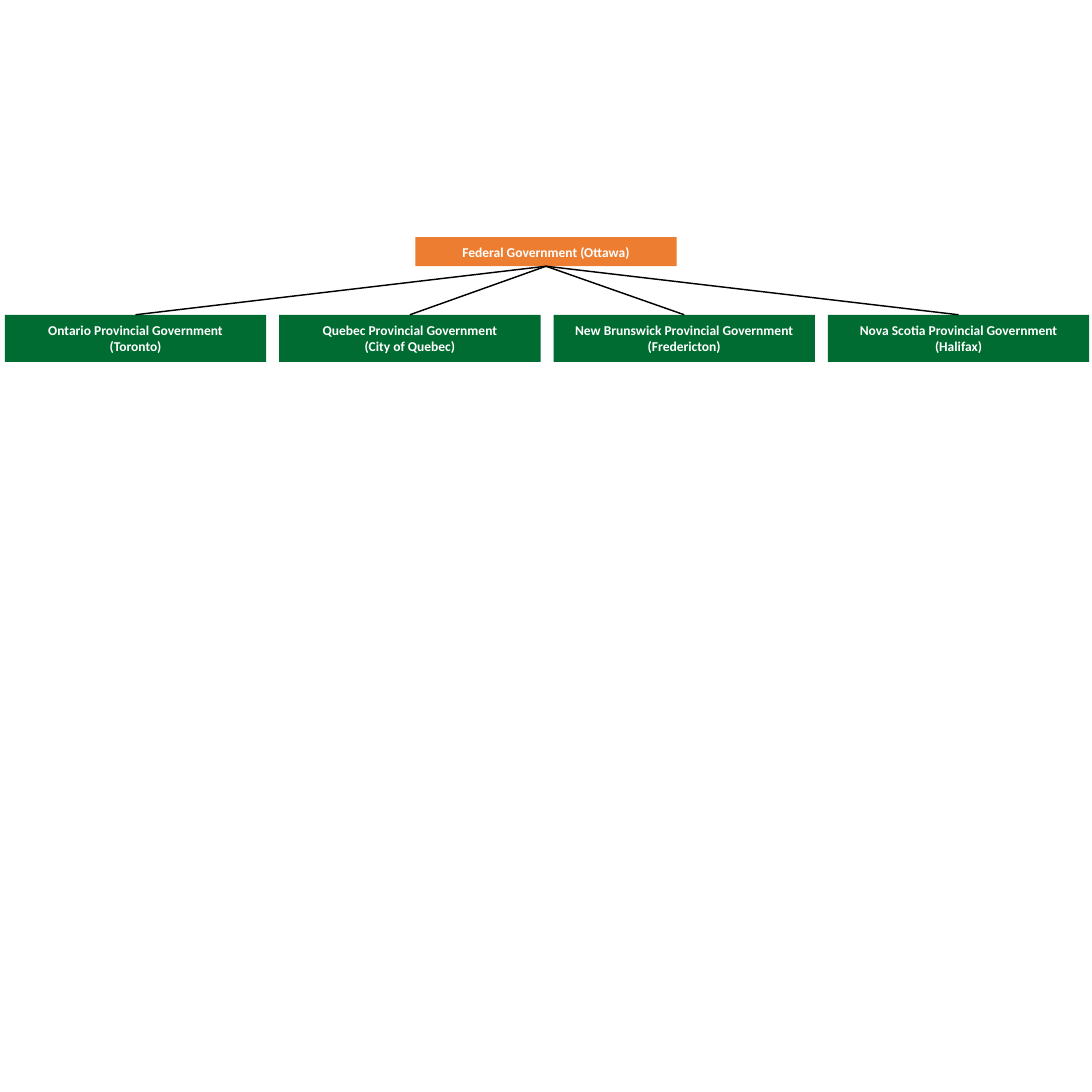
"""Build a chart of the federal government above four provincial governments."""
from lxml import etree
from pptx import Presentation, util as u
from pptx.dml.color import RGBColor
from pptx.enum import shapes, text
from pptx.oxml.ns import qn

HEAD = ["Federal Government (Ottawa)"]
PROVINCES = [
    ["Ontario Provincial Government", "(Toronto)"],
    ["Quebec Provincial Government", "(City of Quebec)"],
    ["New Brunswick Provincial Government", "(Fredericton)"],
    ["Nova Scotia Provincial Government", "(Halifax)"],
]
ORANGE = RGBColor(0xED, 0x7D, 0x31)
GREEN = RGBColor(0x00, 0x6C, 0x31)
WHITE = RGBColor(0xFF, 0xFF, 0xFF)
BLACK = RGBColor(0x00, 0x00, 0x00)
FONT = {"name": "Calibri", "size": u.Pt(14), "bold": True}

SIDE = 15.75
LEFT, PITCH, WIDTH = 0.07, 3.957, 3.77
HEAD_TOP, HEAD_TALL = 3.42, 0.42
ROW_TOP, ROW_TALL = 4.54, 0.68


def add_box(slide, lines, left, top, tall, fill):
    """Add a filled box with centred lines of text."""
    box = slide.shapes.add_shape(
        shapes.MSO_SHAPE.RECTANGLE, *map(u.Inches, (left, top, WIDTH, tall)))
    box.shadow.inherit = False
    box.fill.solid()
    box.fill.fore_color.rgb = fill
    box.line.fill.background()
    frame = box.text_frame
    frame.word_wrap = True
    frame.vertical_anchor = text.MSO_ANCHOR.MIDDLE
    for i, line in enumerate(lines):
        para = frame.add_paragraph() if i else frame.paragraphs[0]
        para.alignment = text.PP_ALIGN.CENTER
        run = para.add_run()
        run.text = line
        for key, value in FONT.items():
            setattr(run.font, key, value)
        run.font.color.rgb = WHITE
    return box


def add_link(slide, head, box):
    """Join the bottom of the head box to the top of a lower box."""
    link = slide.shapes.add_connector(shapes.MSO_CONNECTOR.STRAIGHT, 0, 0, 0, 0)
    link.begin_connect(head, 2)
    link.end_connect(box, 0)
    link.line.color.rgb = BLACK
    link.line.width = u.Pt(1.5)
    etree.SubElement(link._element.spPr, qn("a:effectLst"))


def main():
    """Lay out the chart and save it."""
    deck = Presentation()
    deck.slide_width = deck.slide_height = u.Inches(SIDE)
    slide = deck.slides.add_slide(deck.slide_layouts[6])
    head = add_box(slide, HEAD, (SIDE - WIDTH) / 2, HEAD_TOP, HEAD_TALL, ORANGE)
    for col, lines in enumerate(PROVINCES):
        box = add_box(slide, lines, LEFT + col * PITCH, ROW_TOP, ROW_TALL, GREEN)
        add_link(slide, head, box)
    deck.save("out.pptx")


if __name__ == "__main__":
    main()
